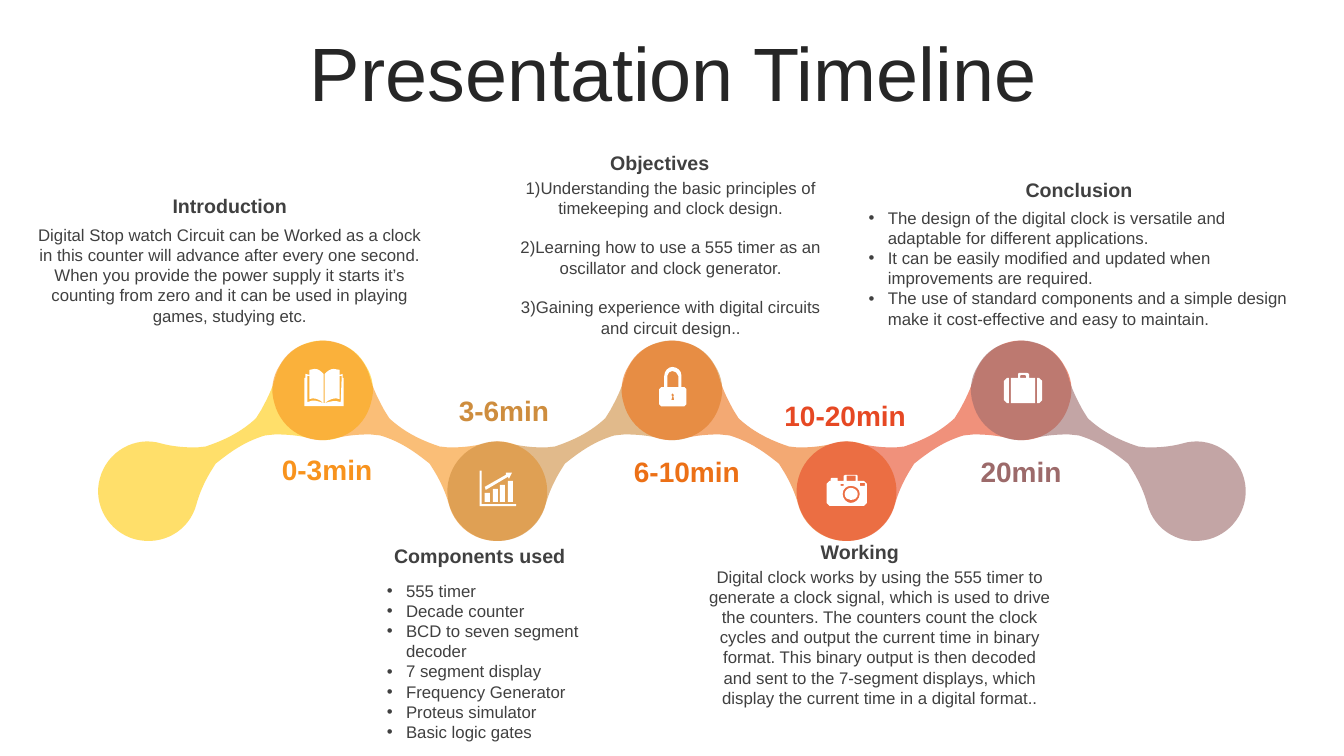
"""Build the Presentation Timeline slide: a chain of translucent links with five timed steps."""
from dataclasses import dataclass
from lxml.etree import SubElement
from pptx import Presentation
from pptx.dml.color import RGBColor
from pptx.enum.text import MSO_ANCHOR, PP_ALIGN
from pptx.oxml.ns import qn
from pptx.util import Pt


@dataclass(frozen=True)
class Theme:
    """Colours, font and type sizes in points."""
    font: str = "Arial"
    title: str = "262626"
    body: str = "404040"
    icon: str = "FFFFFF"
    start: str = "FFCA08"
    title_size: int = 54
    time_size: int = 20
    heading_size: int = 14
    body_size: int = 12
    link_opacity: int = 60


THEME = Theme()
EMU_PER_PX = 9144
BULLET_INDENT = 19
PARAGRAPH_GAP = 14

TITLE = ("Presentation Timeline", (35, 37, 1266, 79))

LINK = """M 363 363 C 370 374 372 387 368 400 C 361 427 334 442 308 435
C 297 432 285 431 273 431 L 263 432 C 243 438 229 448 214 460 L 209 468
C 203 478 198 489 195 500 C 188 527 161 542 134 535 C 108 528 92 501 99 475
C 106 448 134 432 160 440 C 171 443 183 444 195 444 L 204 443
C 222 437 239 429 254 415 L 259 407 C 265 396 270 386 273 375
C 280 348 307 332 333 340 C 347 343 357 352 363 363"""
LINK_MIRROR = 467
LINK_PITCH = 693 / 4

BOOK = """M 322 400 C 329 398 332 397 338 399 L 339 373 L 337 373 L 337 396
C 332 394 327 396 322 400 L 322 371 C 325 368 328 366 331 366 L 337 367
L 337 372 L 340 371 L 340 375 L 341 375 L 341 403
L 302 403 L 302 375 L 303 375 L 303 371 L 307 372 L 307 367
L 312 366 C 316 366 318 368 321 371 L 321 400
C 317 396 311 394 307 396 L 307 373 L 305 373 L 305 399 C 311 396 315 398 321 400"""
CHART = """M 481 489 L 486 489 L 486 498 L 481 498
M 489 485 L 494 485 L 494 498 L 489 498
M 496 481 L 501 481 L 501 498 L 496 498
M 504 477 L 509 477 L 509 498 L 504 498
M 502 469 L 508 469 L 505 475 L 504 473 L 482 486 L 481 483 L 502 471
M 476 467 L 478 467 L 478 500 L 512 500 L 512 502 L 476 502"""
LOCK = """M 667 390 L 666 392 L 667 393 L 666 397 L 669 397 L 668 393 L 669 392
M 667 368 C 665 368 662 370 662 373 L 662 384 L 673 384 L 673 373
C 672 370 670 368 667 368
M 667 364 C 672 364 676 368 676 372 L 676 384 L 679 384 L 681 386
L 681 401 L 679 403 L 656 403 L 654 401 L 654 386 L 656 384
L 659 384 L 659 373 C 659 368 663 364 667 364"""
CAMERA = """M 844 484 C 848 484 851 487 851 490 C 851 494 848 496 844 496
C 841 496 838 494 838 490 C 838 487 841 484 844 484
M 844 482 C 840 482 836 485 836 490 C 836 495 840 499 844 499
C 849 499 853 495 853 490 C 853 485 849 482 844 482
M 834 480 L 834 482 L 837 482 L 837 480 M 853 479 L 853 482 L 858 482 L 858 479
M 840 472 L 840 477 L 849 477 L 849 472
M 839 471 L 850 471 L 851 472 L 851 477 L 857 477 L 860 480 L 860 499 L 857 502
L 823 502 L 820 499 L 820 480 L 823 477 L 824 477 L 824 475 L 825 474 L 831 474
L 831 477 L 837 477 L 837 472"""
SUITCASE = """M 1029 375 L 1031 375 L 1034 378 L 1034 397 L 1031 400 L 1029 400
M 999 375 L 1001 375 L 1001 400 L 999 400 L 996 397 L 996 378
M 1013 372 L 1012 373 L 1012 375 L 1018 375 L 1018 373 L 1017 372
M 1011 370 L 1019 370 L 1021 371 L 1021 375 L 1027 375
L 1027 400 L 1003 400 L 1003 375 L 1010 375 L 1010 371"""

STEPS = [
    dict(heading="Introduction", heading_box=(22, 183, 412, 42), body_box=(22, 218, 412, 111),
         time="0-3min", time_box=(268, 444, 113, 44), color="F8931D", icon=BOOK, body=[
             "Digital Stop watch Circuit can be Worked as a clock in this counter will advance after every one second.",
             "When you provide the power supply it starts it’s counting from zero and it can be used in playing games, studying etc."]),
    dict(heading="Components used", heading_box=(361, 534, 230, 34), body_box=(374, 571, 230, 179),
         time="3-6min", time_box=(441, 385, 118, 44), color="CE8D3E", icon=CHART, bulleted=True, body=[
             "555 timer", "Decade counter", "BCD to seven segment decoder", "7 segment display",
             "Frequency Generator", "Proteus simulator", "Basic logic gates"]),
    dict(heading="Objectives", heading_box=(480, 143, 349, 37), body_box=(491, 171, 349, 180),
         time="6-10min", time_box=(615, 446, 133, 44), color="EC7016", icon=LOCK, gap=PARAGRAPH_GAP, body=[
             "1)Understanding the basic principles of timekeeping and clock design.",
             "2)Learning how to use a 555 timer as an oscillator and clock generator.",
             "3)Gaining experience with digital circuits and circuit design.."]),
    dict(heading="Working", heading_box=(673, 530, 360, 34), body_box=(693, 557, 360, 151),
         time="10-20min", time_box=(756, 390, 165, 44), color="E64823", icon=CAMERA, body=[
             "Digital clock works by using the 555 timer to generate a clock signal, which is used to drive the counters. "
             "The counters count the clock cycles and output the current time in binary format. This binary output is then "
             "decoded and sent to the 7-segment displays, which display the current time in a digital format.."]),
    dict(heading="Conclusion", heading_box=(852, 167, 437, 42), body_box=(852, 201, 437, 131),
         time="20min", time_box=(962, 446, 102, 44), color="9C6A6A", icon=SUITCASE, bulleted=True, body=[
             "The design of the digital clock is versatile and adaptable for different applications.",
             "It can be easily modified and updated when improvements are required.",
             "The use of standard components and a simple design make it cost-effective and easy to maintain."]),
]


def px(length):
    return round(length * EMU_PER_PX)


def trace(commands):
    """Split M, L and C commands into contours of corner and control points."""
    contours = []
    for contour in commands.split("M")[1:]:
        numbers = [int(token) for token in contour.split() if token not in "LC"]
        contours.append(list(zip(numbers[::2], numbers[1::2])))
    return contours


def bend(segments, commands):
    """Join the three straight segments of every C command into one curve."""
    nodes = iter([node for node in segments if node.tag != qn("a:close")])
    for letter in [token for token in commands.split() if token in "MLC"]:
        curve = next(nodes)
        if letter == "C":
            curve.tag = qn("a:cubicBezTo")
            for segment in (next(nodes), next(nodes)):
                curve.append(segment[0])
                segments.remove(segment)


def draw_outline(slide, commands, color, opacity=100, shift=0, mirror=None):
    first, *others = [[(px((x if mirror is None else mirror - x) + shift), px(y)) for x, y in contour]
                      for contour in trace(commands)]
    builder = slide.shapes.build_freeform(*first[0], scale=1.0)
    builder.add_line_segments(first[1:], close=True)
    for contour in others:
        builder.move_to(*contour[0])
        builder.add_line_segments(contour[1:], close=True)
    outline = builder.convert_to_shape()
    bend(next(outline._element.spPr.iter(qn("a:path"))), commands)
    outline.shadow.inherit = False
    outline.line.fill.background()
    outline.fill.solid()
    outline.fill.fore_color.rgb = RGBColor.from_string(color)
    if opacity < 100:
        tint = outline._element.spPr.find(qn("a:solidFill")).find(qn("a:srgbClr"))
        SubElement(tint, qn("a:alpha"), val=str(opacity * 1000))


def write(slide, box, lines, size, color, bold=False, anchor=MSO_ANCHOR.MIDDLE,
          bulleted=False, gap=0, spacing=None):
    frame = slide.shapes.add_textbox(*map(px, box)).text_frame
    frame.word_wrap = True
    frame.vertical_anchor = anchor
    frame.text = "\n".join(lines)
    for paragraph in frame.paragraphs:
        paragraph.alignment = PP_ALIGN.LEFT if bulleted else PP_ALIGN.CENTER
        paragraph.space_after = Pt(gap)
        if spacing:
            paragraph.line_spacing = spacing
        font = paragraph.runs[0].font
        font.name, font.size, font.bold = THEME.font, Pt(size), bold
        font.color.rgb = RGBColor.from_string(color)
        if bulleted:
            properties = paragraph._p.get_or_add_pPr()
            properties.set("marL", str(px(BULLET_INDENT)))
            properties.set("indent", str(-px(BULLET_INDENT)))
            SubElement(properties, qn("a:buFont"), typeface=THEME.font)
            SubElement(properties, qn("a:buChar"), char="•")


def main():
    deck = Presentation()
    deck.slide_width, deck.slide_height = px(4000 / 3), px(750)
    slide = deck.slides.add_slide(deck.slide_layouts[6])
    title, title_box = TITLE
    write(slide, title_box, [title], THEME.title_size, THEME.title, spacing=0.9)
    for index, color in enumerate([THEME.start] + [step["color"] for step in STEPS]):
        draw_outline(slide, LINK, color, THEME.link_opacity, shift=index * LINK_PITCH,
                     mirror=LINK_MIRROR if index % 2 else None)
    for step in STEPS:
        write(slide, step["heading_box"], [step["heading"]], THEME.heading_size, THEME.body, bold=True)
        write(slide, step["body_box"], step["body"], THEME.body_size, THEME.body, anchor=MSO_ANCHOR.TOP,
              bulleted=step.get("bulleted", False), gap=step.get("gap", 0))
        write(slide, step["time_box"], [step["time"]], THEME.time_size, step["color"], bold=True)
        draw_outline(slide, step["icon"], THEME.icon)
    deck.save("out.pptx")


if __name__ == "__main__":
    main()
